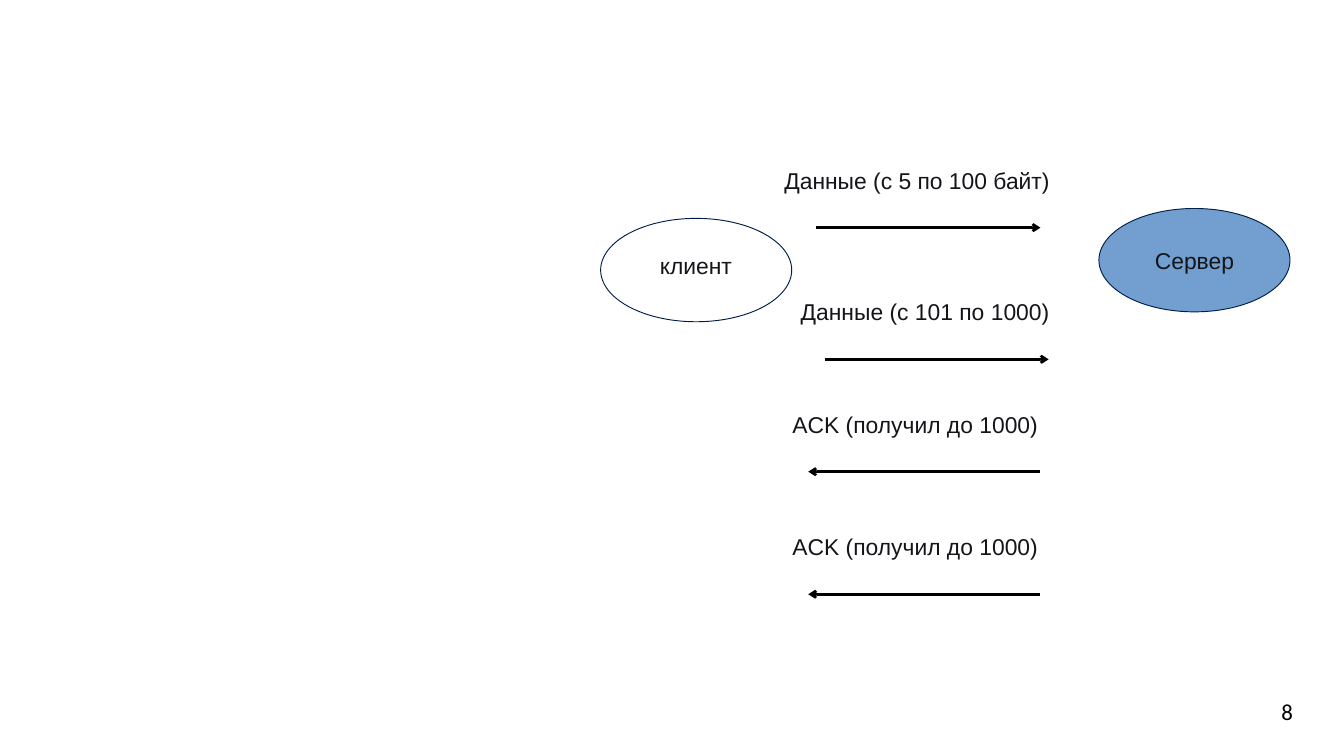
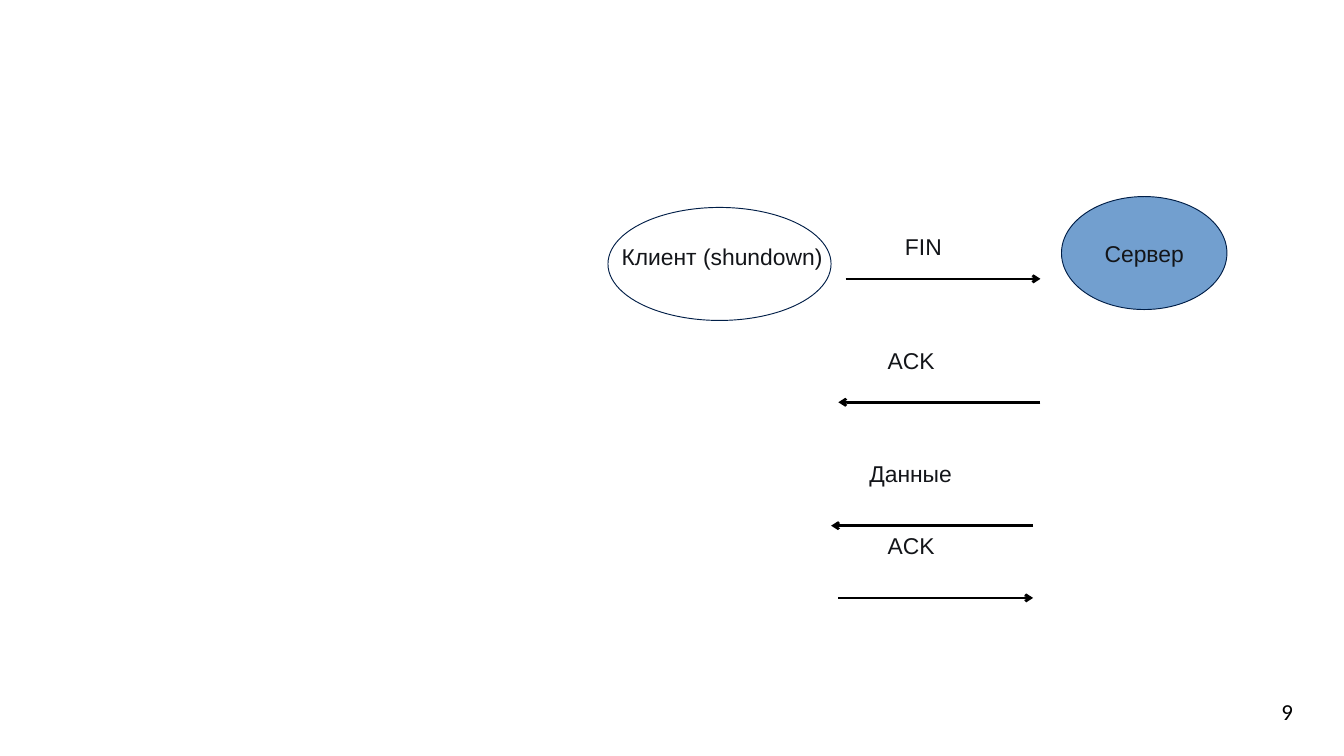
"""Build two slides that show a TCP exchange between a client and a server."""
from lxml import etree
from pptx import Presentation
from pptx.dml.color import RGBColor as RGB
from pptx.enum.shapes import MSO_CONNECTOR as CONN, MSO_SHAPE as SHAPE
from pptx.enum.text import MSO_ANCHOR as ANCHOR, PP_ALIGN as ALIGN
from pptx.oxml.ns import qn
from pptx.util import Pt

C = {"text": "131519", "number": "000000", "arrow": "000000",
     "outline": "001E47", "client": "FFFFFF", "server": "729FCF"}
LABEL_H = 38

SLIDES = [
    {"number": "8",
     "client": (473, 172, 150.5, 81.4),
     "server": (865.4, 164.2, 150.5, 81.4),
     "name": ("клиент", 512.6, 194.4, 83),
     "messages": [
         ("Данные (с 5 по 100 байт)", 610.6, 127.4, 260, 643, 819.4, 179.3),
         ("Данные (c 101 по 1000)", 623.5, 231.1, 244, 649.4, 825.8, 283),
         ("ACK (получил до 1000)", 617, 319.7, 241, 819.4, 636.5, 371.5),
         ("ACK (получил до 1000)", 617, 416.2, 241, 819.4, 636.5, 468)]},
    {"number": "9",
     "client": (478.8, 163.4, 175.7, 89),
     "server": (835.9, 154.8, 130.3, 89),
     "name": ("Клиент (shundown)", 482.4, 187.2, 178),
     "messages": [
         ("FIN", 705.6, 179.3, 48, 666, 819.4, 219.6),
         ("ACK", 691.9, 269.3, 56, 819.4, 660.2, 316.8),
         ("Данные", 677.5, 358.6, 84, 813.6, 654.5, 414),
         ("ACK", 691.9, 415.4, 56, 660.2, 813.6, 470.9)]},
]


def write(sp, text, align=ALIGN.LEFT, font="Arial", color="text"):
    tf = sp.text_frame
    tf.text = text
    tf.word_wrap = True
    p = tf.paragraphs[0]
    p.alignment = align
    r = p.runs[0]
    r.font.name = font
    r.font.size = Pt(18)
    r.font.color.rgb = RGB.from_string(C[color])


def add_label(s, text, x, y, w, h=LABEL_H, **style):
    sp = s.shapes.add_textbox(Pt(x), Pt(y), Pt(w), Pt(h))
    write(sp, text, **style)


prs = Presentation()
prs.slide_width, prs.slide_height = Pt(1058.4), Pt(595.4)

for data in SLIDES:
    s = prs.slides.add_slide(prs.slide_layouts[6])
    add_label(s, data["number"], 934.6, 545.8, 90.7, 31.7,
              align=ALIGN.RIGHT, font="Calibri", color="number")

    for role in ("client", "server"):
        sp = s.shapes.add_shape(SHAPE.OVAL, *map(Pt, data[role]))
        sp.shadow.inherit = False
        sp.fill.solid()
        sp.fill.fore_color.rgb = RGB.from_string(C[role])
        sp.line.color.rgb = RGB.from_string(C["outline"])
        sp.line.width = Pt(0)
        if role == "server":
            write(sp, "Сервер", ALIGN.CENTER)
            sp.text_frame.vertical_anchor = ANCHOR.MIDDLE
    add_label(s, *data["name"])

    for text, x, y, w, start, end, line_y in data["messages"]:
        add_label(s, text, x, y, w)
        arrow = s.shapes.add_connector(
            CONN.STRAIGHT, Pt(start), Pt(line_y), Pt(end), Pt(line_y))
        arrow.line.color.rgb = RGB.from_string(C["arrow"])
        arrow.line.width = Pt(0)
        ln = arrow.line._get_or_add_ln()
        etree.SubElement(ln, qn("a:tailEnd"), type="arrow")
        etree.SubElement(ln.getparent(), qn("a:effectLst"))

prs.save("out.pptx")
